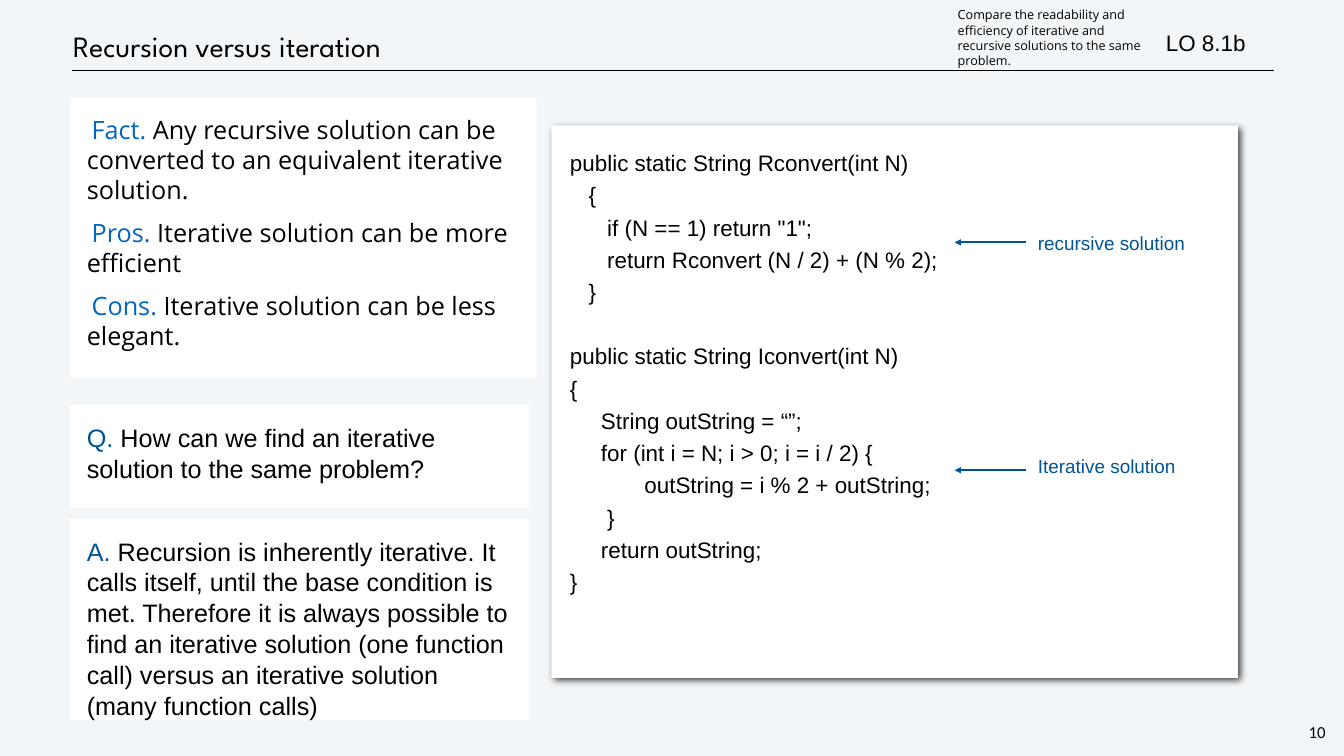
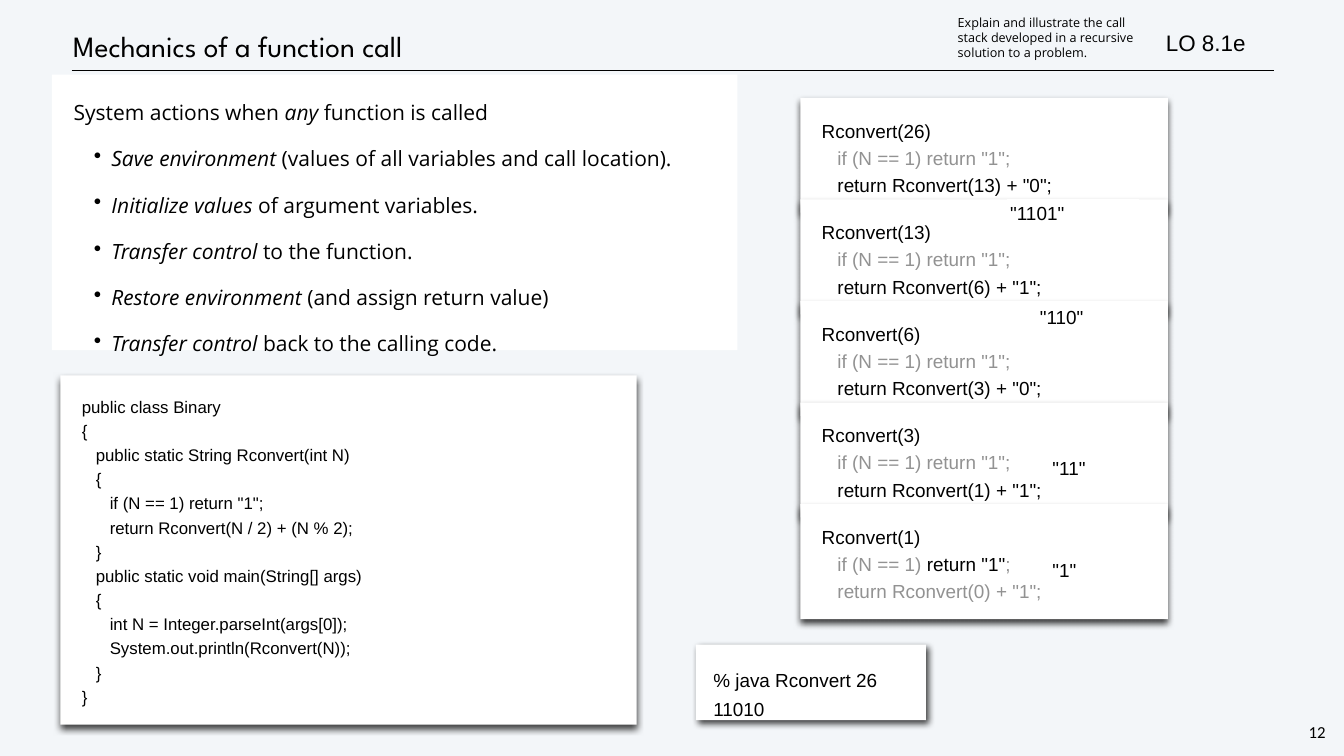
from dataclasses import dataclass
from typing import NamedTuple

from lxml.etree import SubElement as Sub
from pptx import Presentation as Deck
from pptx.dml.color import RGBColor as Rgb
from pptx.enum.shapes import MSO_CONNECTOR as Wire, MSO_SHAPE as Kind
from pptx.enum.text import MSO_ANCHOR as Anchor, PP_ALIGN as Align
from pptx.oxml.ns import qn
from pptx.util import Pt

COLS, ROWS = 192, 108  # square cells, ten points a side


@dataclass(frozen=True)
class Theme:
    back: str = "F3F6F9"
    card: str = "FFFFFF"
    ink: str = "000000"
    faded: str = "929292"
    accent: str = "005493"
    key: str = "0365C0"
    head: str = "League Spartan"
    body: str = "Open Sans"
    code: str = "Arial"
    foot: str = "Calibri"
    title: int = 42
    large: int = 36
    mid: int = 32
    list: int = 30
    label: int = 27
    small: int = 24
    tiny: int = 18


T = Theme()


class Box(NamedTuple):
    left: float
    top: float
    wide: float
    high: float


class Run(NamedTuple):
    text: str
    ink: str = T.ink
    slant: bool = False


class Para(NamedTuple):
    runs: list[Run]
    gap: float = 0
    dot: bool = False


class Frame(NamedTuple):
    arg: int
    bit: int


class Value(NamedTuple):
    text: str
    box: Box


PAD, THIN = 2.4, 0.45
FRAMES = [Frame(26, 0), Frame(13, 1), Frame(6, 0), Frame(3, 1), Frame(1, 1)]
STACK, STEP = Box(114.34, 13.97, 52.49, 16.42), 14.51
VALUES = [
    Value('"1"', Box(149.9, 79.42, 16.92, 4.03)),
    Value('"11"', Box(149.9, 64.8, 16.92, 4.03)),
    Value('"110"', Box(148.1, 43.27, 16.92, 4.03)),
    Value('"1101"', Box(143.86, 28.44, 18.86, 4.03)),
]
FACTS = [
    ("Fact.", " Any recursive solution can be converted to an equivalent iterative solution."),
    ("Pros. ", "Iterative solution can be more efficient"),
    ("Cons.", " Iterative solution can be less elegant."),
]
STEPS = [
    ("Save environment", " (values of all variables and call location)."),
    ("Initialize values", " of argument variables."),
    ("Transfer control", " to the function."),
    ("Restore environment", " (and assign return value)"),
    ("Transfer control", " back to the calling code."),
]
RECUR = '''public static String Rconvert(int N)
   {
      if (N == 1) return "1";
      return Rconvert (N / 2) + (N % 2);
   }'''
ITER = '''public static String Iconvert(int N)
{
     String outString = “”;
     for (int i = N; i > 0; i = i / 2) {
            outString = i % 2 + outString;
      }
     return outString;
}'''
BINARY = '''public class Binary
{
   public static String Rconvert(int N)
   {
      if (N == 1) return "1";
      return Rconvert(N / 2) + (N % 2);
   }
   public static void main(String[] args)
   {
      int N = Integer.parseInt(args[0]);
      System.out.println(Rconvert(N));
   }
}'''


def cell(num: float) -> int:
    return Pt(num * 10)


def lines(code: str, gap: float = 0) -> list[Para]:
    """One paragraph a line; gap is the space before the first."""
    return [Para([Run(row)], 0 if num else gap)
            for num, row in enumerate(code.split("\n"))]


def write(shape, paras: list[Para], *, face: str = T.code, size: int = T.label,
          lead: float | None = None, pad: float = PAD, low: float | None = None,
          inset: float = 0, first: float = 0, anchor=Anchor.TOP,
          align=Align.LEFT, wrap: bool = True) -> None:
    """Fill a shape; lead is in points above 2, otherwise in lines."""
    frame = shape.text_frame
    frame.word_wrap, frame.vertical_anchor = wrap, anchor
    frame.margin_left = frame.margin_right = frame.margin_top = cell(pad)
    frame.margin_bottom = cell(pad if low is None else low)
    for num, item in enumerate(paras):
        para = frame.add_paragraph() if num else frame.paragraphs[0]
        props = para._p.get_or_add_pPr()
        left, hang = (6.1, -2.5) if item.dot else (inset, first)
        props.set("marL", str(cell(left)))
        props.set("indent", str(cell(hang)))
        if item.dot:
            Sub(props, qn("a:buSzPct"), val="104000")
            Sub(props, qn("a:buChar"), char="•")
        para.alignment = align
        if lead:
            para.line_spacing = Pt(lead) if lead > 2 else lead
        if item.gap:
            para.space_before = Pt(item.gap)
        for part in item.runs:
            run = para.add_run()
            run.text = part.text
            font = run.font
            font.name, font.size, font.italic = face, Pt(size), part.slant
            font.color.rgb = Rgb.from_string(part.ink)


def label(slide, box: Box, text: str, ink: str = T.ink, **form) -> None:
    shape = slide.shapes.add_textbox(*map(cell, box))
    write(shape, [Para([Run(text, ink)])], **form)


def card(slide, box: Box, paras: list[Para], shade: int | None = None, **form) -> None:
    """Draw a white panel; shade is the angle of its shadow."""
    shape = slide.shapes.add_shape(Kind.RECTANGLE, *map(cell, box))
    shape.shadow.inherit = False
    shape.fill.solid()
    shape.fill.fore_color.rgb = Rgb.from_string(T.card)
    shape.line.fill.background()
    if shade is not None:
        glow = Sub(shape._element.spPr.find(qn("a:effectLst")), qn("a:outerShdw"),
                   blurRad=str(Pt(10)), dist=str(Pt(6)), dir=str(shade * 60000),
                   algn="ctr", rotWithShape="0")
        Sub(Sub(glow, qn("a:srgbClr"), val=T.ink), qn("a:alpha"), val="75000")
    write(shape, paras, **form)


def rule(slide, start: float, end: float, row: float, ink: str, width: int,
         arrow: bool = False) -> None:
    wire = slide.shapes.add_connector(
        Wire.STRAIGHT, cell(start), cell(row), cell(end), cell(row))
    wire.line.color.rgb = Rgb.from_string(ink)
    wire.line.width = Pt(width)
    if arrow:
        Sub(wire.line._get_or_add_ln(), qn("a:tailEnd"), type="triangle")
    Sub(wire._element.spPr, qn("a:effectLst"))


def start(deck, title: str, goal: str, aim: str, page: int):
    """Add a slide with its heading, learning goal and page number."""
    slide = deck.slides.add_slide(deck.slide_layouts[6])
    fill = slide.background.fill
    fill.solid()
    fill.fore_color.rgb = Rgb.from_string(T.back)
    rule(slide, 10.22, 181.94, 10.08, T.ink, 1)
    label(slide, Box(10, 3.02, 162.86, 7.13), title, face=T.head, size=T.title,
          lead=50, pad=THIN, anchor=Anchor.MIDDLE)
    label(slide, Box(166.1, 3.67, 21.53, 4.68), goal, size=T.mid, pad=THIN,
          anchor=Anchor.MIDDLE)
    label(slide, Box(136.37, 1.8, 28.37, 8.78), aim, face=T.body, size=T.tiny,
          pad=THIN, low=2.1, anchor=Anchor.MIDDLE)
    label(slide, Box(186.62, 102.89, 3.1, 3.38), str(page), face=T.foot,
          size=T.small, lead=28, pad=0.3, align=Align.CENTER, wrap=False)
    return slide


def versus(deck) -> None:
    slide = start(deck, "Recursion versus iteration", "LO 8.1b",
                  "Compare the readability and efficiency of iterative and "
                  "recursive solutions to the same problem.", 10)
    card(slide, Box(78.77, 17.93, 98.06, 78.91), lines(RECUR) + lines(ITER, 46),
         shade=45, size=T.mid, lead=46, pad=2.65)
    talk = [
        (57.89, 14.62, "Q.", " How can we find an iterative solution to the same problem?"),
        (74.09, 28.8, "A. ", "Recursion is inherently iterative. It calls itself, until "
         "the base condition is met. Therefore it is always possible to find an "
         "iterative solution (one function call) versus an iterative solution "
         "(many function calls)"),
    ]
    for top, high, mark, text in talk:
        card(slide, Box(10, top, 65.59, high),
             [Para([Run(mark, T.accent), Run(text)])], size=T.large, lead=44)
    facts = [Para([Run(mark, T.key), Run(text)], 18 if num else 0)
             for num, (mark, text) in enumerate(FACTS)]
    card(slide, Box(10, 13.97, 66.67, 40.03), facts, face=T.body, size=T.large,
         lead=43, first=0.7)
    for text, top, row in [("recursive solution", 32.69, 34.63),
                           ("Iterative solution", 64.58, 67.18)]:
        label(slide, Box(147.82, top, 28.37, 5.11), text, T.accent, lead=32, pad=THIN)
        rule(slide, 146.52, 136.37, row, T.accent, 3, arrow=True)


def calls(frame: Frame) -> list[Para]:
    """Code of one call, with the branch not taken faded."""
    last = frame.arg == 1
    test = [Run("   if (N == 1) ", T.faded),
            Run('return "1"', T.ink if last else T.faded), Run(";", T.faded)]
    back = f'   return Rconvert({frame.arg // 2}) + "{frame.bit}";'
    return [Para([Run(f"Rconvert({frame.arg})")]), Para(test),
            Para([Run(back, T.faded if last else T.ink)])]


def mechanics(deck) -> None:
    slide = start(deck, "Mechanics of a function call", "LO 8.1e",
                  "Explain and illustrate the call stack developed in a recursive "
                  "solution to a problem.", 12)
    intro = Para([Run("System actions when "), Run("any", slant=True),
                  Run(" function is called")])
    steps = [Para([Run(name, slant=True), Run(rest)], 18, True) for name, rest in STEPS]
    card(slide, Box(7.42, 10.66, 97.92, 39.38), [intro, *steps], face=T.body,
         size=T.list, lead=48, first=0.7)
    card(slide, Box(8.64, 53.64, 82.3, 49.9), lines(BINARY), shade=90,
         size=T.small, lead=1.2, inset=0.65)
    card(slide, Box(99.43, 92.09, 32.83, 10.8), lines("% java Rconvert 26\n11010"),
         shade=45, lead=1.3, inset=0.07)
    for num, frame in enumerate(FRAMES):
        card(slide, STACK._replace(top=STACK.top + num * STEP), calls(frame),
             shade=90, lead=1.2, inset=0.65)
    for value in VALUES:
        card(slide, value.box, lines(value.text), lead=32, pad=THIN)


def main() -> None:
    deck = Deck()
    deck.slide_width, deck.slide_height = cell(COLS), cell(ROWS)
    versus(deck)
    mechanics(deck)
    deck.save("out.pptx")


if __name__ == "__main__":
    main()
